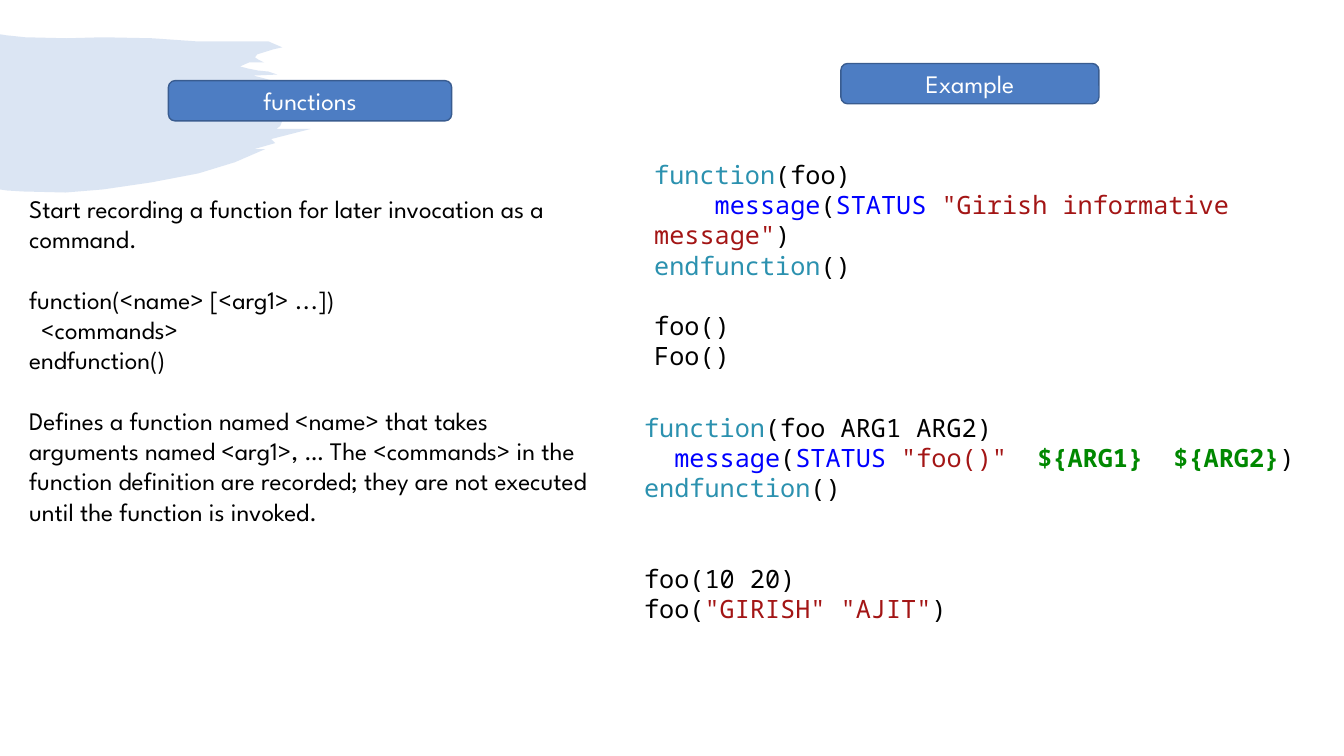
from pptx import Presentation
from pptx.dml.color import RGBColor
from pptx.enum.shapes import MSO_SHAPE
from pptx.enum.text import MSO_ANCHOR, PP_ALIGN
from pptx.util import Inches, Pt
from lxml.etree import SubElement

THEME = {
    "sans": "League Spartan", "mono": "Noto Sans Mono",
    "size": 18, "line": 21.6, "edge": 1, "corner": 0.1667,
    "fill": "4D7DC3", "rim": "395C90", "white": "FFFFFF",
    "ink": "000000", "flow": "2B91AF", "call": "0000FF",
    "text": "A31515", "var": "008800",
}
WIDE, HIGH = 13.33, 7.5

# Each paragraph: blank lines above, first-line indent in inches, runs of (text, colour).
END = (0, 0, [("endfunction", "flow"), ("()", "ink")])
NOTES = [
    (0, 0, [("Start recording a function for later invocation as a command.", "ink")]),
    (1, 0, [("function(<name> [<arg1> ...])", "ink")]),
    (0, 0.12, [("<commands>", "ink")]),
    (0, 0, [("endfunction()", "ink")]),
    (1, 0, [("Defines a function named <name> that takes arguments named <arg1>, … "
             "The <commands> in the function definition are recorded; they are not "
             "executed until the function is invoked.", "ink")]),
]
PLAIN = [
    (0, 0, [("function", "flow"), ("(foo)", "ink")]),
    (0, 0.6, [("message", "call"), ("(", "ink"), ("STATUS ", "call"),
              ('"Girish informative message"', "text"), (")", "ink")]),
    END,
    (1, 0, [("foo()", "ink")]),
    (0, 0, [("Foo()", "ink")]),
]
ARGS = [
    (0, 0, [("function", "flow"), ("(foo ARG1 ARG2)", "ink")]),
    (0, 0.3, [("message", "call"), ("(", "ink"), ("STATUS ", "call"),
              ('"foo()"  ', "text"), ("${ARG1}  ${ARG2}", "var"), (")", "ink")]),
    END,
    (2, 0, [("foo(10 20)", "ink")]),
    (0, 0, [("foo(", "ink"), ('"GIRISH" "AJIT"', "text"), (")", "ink")]),
]
BLOCKS = [
    ((6.39, 1.53, 7.29, 2.22), "mono", PLAIN),
    ((0.19, 1.87, 5.78, 3.74), "sans", NOTES),
    ((6.29, 4.04, 6.67, 2.52), "mono", ARGS),
]
LABELS = [("Example", (8.34, 0.63, 2.56, 0.4)), ("functions", (1.67, 0.8, 2.81, 0.4))]

# Brush outline, in hundredths of an inch.
BRUSH = [
    (0, 34), (6, 35), (25, 37), (66, 38), (102, 37), (151, 38), (194, 41), (248, 41),
    (266, 41), (280, 47), (271, 49), (255, 54), (253, 57), (256, 59), (262, 62),
    (247, 62), (238, 66), (246, 68), (256, 70), (266, 71), (275, 74), (251, 75),
    (263, 78), (273, 81), (280, 82), (288, 83), (290, 85), (287, 88), (284, 88),
    (263, 88), (296, 92), (330, 94), (321, 97), (318, 106), (307, 111), (300, 113),
    (283, 116), (280, 120), (278, 125), (274, 128), (308, 128), (269, 138),
    (273, 142), (252, 148), (263, 148), (233, 161), (197, 172), (150, 181),
    (102, 188), (65, 191), (23, 190), (7, 189), (0, 188),
]


def tint(name):
    """Return a theme colour."""
    return RGBColor.from_string(THEME[name])


def write(para, text, font, hue):
    """Add one styled run."""
    run = para.add_run()
    run.text = text
    run.font.name, run.font.size = THEME[font], Pt(THEME["size"])
    run.font.color.rgb = tint(hue)
    run.font.bold = hue == "var"


def brush(slide):
    """Draw the pale brush stroke."""
    pen = slide.shapes.build_freeform(*BRUSH[0], scale=Inches(1) / 100)
    pen.add_line_segments(BRUSH[1:], close=True)
    shape = pen.convert_to_shape()
    shape.shadow.inherit = False
    shape.line.fill.background()
    shape.fill.solid()
    shape.fill.fore_color.rgb = tint("fill")
    hue = shape.fill._xPr.solidFill.srgbClr
    SubElement(hue, hue.tag.replace("srgbClr", "alpha"), val="20000")


def label(slide, text, box):
    """Draw a rounded heading."""
    shape = slide.shapes.add_shape(MSO_SHAPE.ROUNDED_RECTANGLE, *map(Inches, box))
    shape.adjustments[0] = THEME["corner"]
    shape.shadow.inherit = False
    shape.fill.solid()
    shape.fill.fore_color.rgb = tint("fill")
    shape.line.color.rgb = tint("rim")
    shape.line.width = Pt(THEME["edge"])
    frame = shape.text_frame
    frame.vertical_anchor = MSO_ANCHOR.MIDDLE
    para = frame.paragraphs[0]
    para.alignment = PP_ALIGN.CENTER
    write(para, text, "sans", "white")


def block(slide, box, font, lines):
    """Fill a text box with paragraphs."""
    frame = slide.shapes.add_textbox(*map(Inches, box)).text_frame
    frame.word_wrap = True
    for i, (gap, dent, runs) in enumerate(lines):
        para = frame.add_paragraph() if i else frame.paragraphs[0]
        para.space_before = Pt(gap * THEME["line"])
        if dent:
            props = para._p.get_or_add_pPr()
            props.set("marL", "0")
            props.set("indent", str(Inches(dent)))
        for text, hue in runs:
            write(para, text, font, hue)


deck = Presentation()
deck.slide_width, deck.slide_height = Inches(WIDE), Inches(HIGH)
page = deck.slides.add_slide(deck.slide_layouts[6])
brush(page)
for item in LABELS:
    label(page, *item)
for item in BLOCKS:
    block(page, *item)
deck.save("out.pptx")
